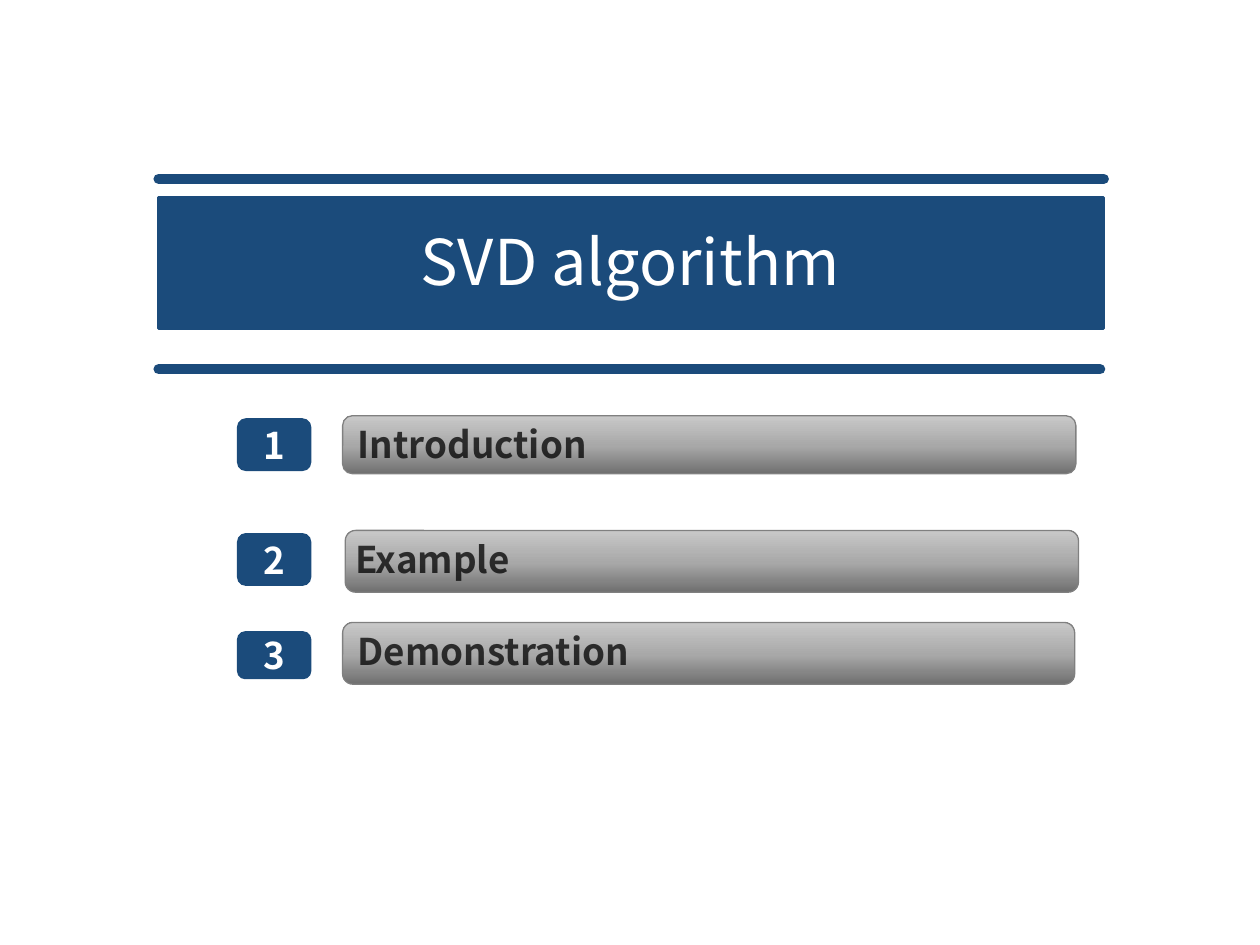
"""Build the SVD algorithm agenda slide."""
from copy import deepcopy

from lxml.etree import SubElement
from pptx import Presentation
from pptx.dml.color import RGBColor
from pptx.enum.shapes import MSO_CONNECTOR, MSO_SHAPE
from pptx.enum.text import MSO_ANCHOR, MSO_AUTO_SIZE, PP_ALIGN
from pptx.oxml.ns import qn
from pptx.util import Pt

BLUE = RGBColor(0x1B, 0x4B, 0x7B)
WHITE = RGBColor(0xFF, 0xFF, 0xFF)
BLACK = RGBColor(0x00, 0x00, 0x00)
GRAY = RGBColor(0x80, 0x80, 0x80)
STOPS = [
    (0, RGBColor(0x6F, 0x6F, 0x6F)),
    (0.48, RGBColor(0xA8, 0xA8, 0xA8)),
    (1, RGBColor(0xC9, 0xC9, 0xC9)),
]
FONT = "Noto Sans CJK SC"


def add_box(kind, left, top, width, height):
    sp = s.shapes.add_shape(kind, Pt(left), Pt(top), Pt(width), Pt(height))
    sp.shadow.inherit = False
    return sp


def set_text(sp, text, size, color, bold, align):
    p = sp.text_frame.paragraphs[0]
    p.text = text
    p.alignment = align
    p.font.name = FONT
    p.font.size = Pt(size)
    p.font.bold = bold
    p.font.color.rgb = color
    return p


prs = Presentation()
prs.slide_width, prs.slide_height = Pt(720), Pt(540)
s = prs.slides.add_slide(prs.slide_layouts[6])

banner = add_box(MSO_SHAPE.RECTANGLE, 90.7, 113, 540, 74.9)
banner.fill.solid()
banner.fill.fore_color.rgb = BLUE
banner.line.color.rgb = BLUE
banner.line.width = Pt(2)

title = s.shapes.add_textbox(Pt(106.6), Pt(123.8), Pt(506.9), Pt(51.1))
title.text_frame.word_wrap = True
title.text_frame.auto_size = MSO_AUTO_SIZE.SHAPE_TO_FIT_TEXT
set_text(title, "SVD algorithm", 36, WHITE, False, PP_ALIGN.CENTER)

for y, right in [(102.2, 630.7), (211, 628.6)]:
    rule = s.shapes.add_connector(MSO_CONNECTOR.STRAIGHT, Pt(90.7), Pt(y), Pt(right), Pt(y))
    rule.line.color.rgb = BLUE
    rule.line.width = Pt(6)
    rule.line._get_or_add_ln().set("cap", "rnd")
    SubElement(rule._element.spPr, qn("a:effectLst"))

items = [
    ("Introduction", (195.8, 237.6, 419, 33.1), 197.3, (239, 30.2)),
    ("Example", (197.3, 303.1, 419, 35.3), 195.8, (304.6, 30.2)),
    ("Demonstration", (195.8, 355.7, 418.3, 35.3), 197.3, (360.7, 27.4)),
]
for number, (label, bar_box, text_left, (badge_top, badge_height)) in enumerate(items, 1):
    bar = add_box(MSO_SHAPE.ROUNDED_RECTANGLE, *bar_box)
    bar.fill.gradient()
    bar.fill.gradient_angle = 90
    first = bar.fill.gradient_stops[0]._gs
    first.addnext(deepcopy(first))
    for stop, (position, color) in zip(bar.fill.gradient_stops, STOPS):
        stop.position = position
        stop.color.rgb = color
    bar.line.color.rgb = GRAY
    bar.line.width = Pt(0.75)

    caption = s.shapes.add_textbox(Pt(text_left), Pt(bar_box[1]), Pt(409), Pt(32.4))
    caption.text_frame.word_wrap = True
    caption.text_frame.auto_size = MSO_AUTO_SIZE.SHAPE_TO_FIT_TEXT
    p = set_text(caption, label, 21, BLACK, True, PP_ALIGN.LEFT)
    for clr in p._p.iter(qn("a:srgbClr")):
        SubElement(clr, qn("a:alpha"), val="75000")

    badge = add_box(MSO_SHAPE.ROUNDED_RECTANGLE, 135.4, badge_top, 42.5, badge_height)
    badge.fill.solid()
    badge.fill.fore_color.rgb = BLUE
    badge.line.fill.background()
    tf = badge.text_frame
    tf.word_wrap = False
    tf.vertical_anchor = MSO_ANCHOR.MIDDLE
    tf.margin_left = tf.margin_right = Pt(5)
    tf.margin_top = tf.margin_bottom = Pt(2.9)
    set_text(badge, str(number), 21, WHITE, True, PP_ALIGN.CENTER)

prs.save("out.pptx")
